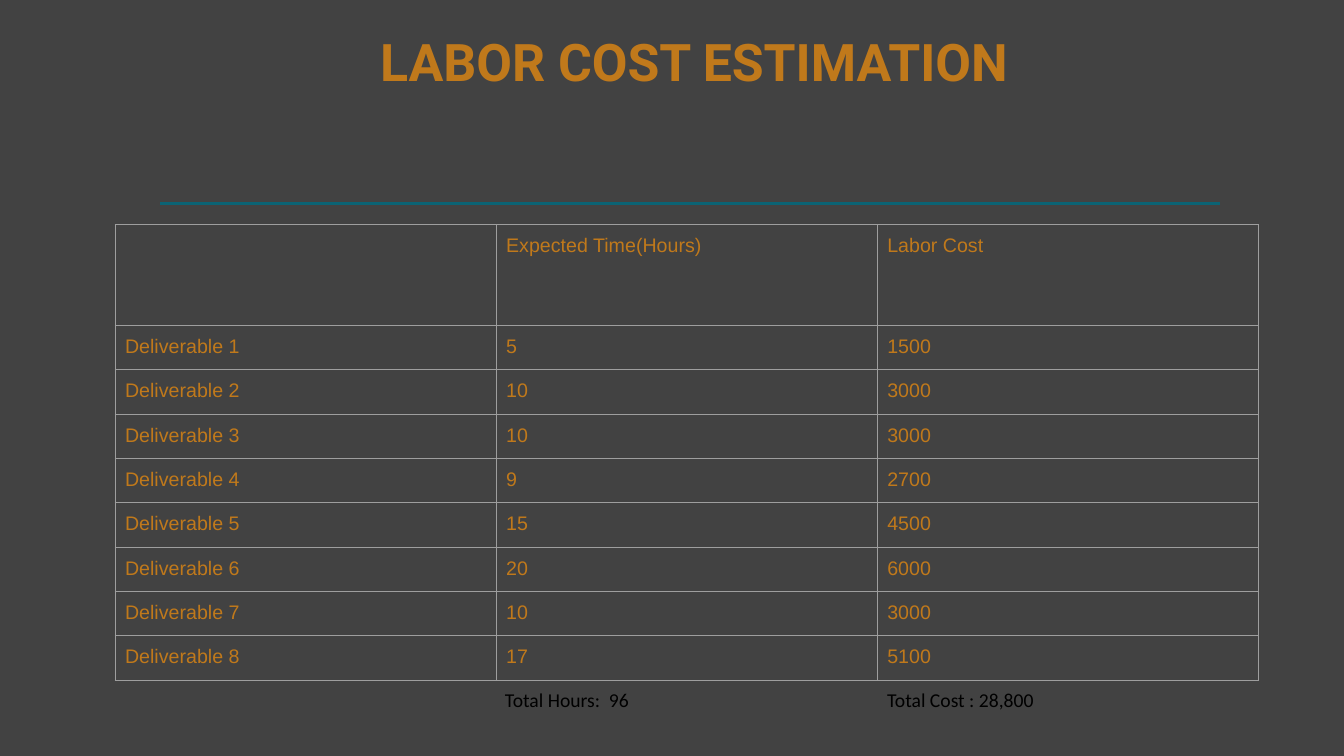
from lxml import etree
from pptx import Presentation
from pptx.dml.color import RGBColor
from pptx.enum.shapes import MSO_CONNECTOR
from pptx.enum.text import MSO_ANCHOR
from pptx.oxml.ns import qn
from pptx.util import Inches, Pt

STRAIGHT = MSO_CONNECTOR.STRAIGHT
TOP = MSO_ANCHOR.TOP

BACKGROUND = RGBColor(0x42, 0x42, 0x42)
ORANGE = RGBColor(0xC0, 0x79, 0x1B)
TEAL = RGBColor(0x0B, 0x63, 0x74)
GRID = RGBColor(0x9E, 0x9E, 0x9E)
BLACK = RGBColor(0, 0, 0)

HOURLY_RATE = 300
HOURS = [5, 10, 10, 9, 15, 20, 10, 17]


def set_text(tf, text, size=14, font="Arial", color=ORANGE, bold=False,
             spacing=1.0):
    tf.word_wrap = True
    p = tf.paragraphs[0]
    p.line_spacing = spacing
    r = p.add_run()
    r.text = text
    r.font.size = Pt(size)
    r.font.name = font
    r.font.color.rgb = color
    r.font.bold = bold


def set_borders(cell, color, width):
    tcPr = cell._tc.get_or_add_tcPr()
    for side in ("lnL", "lnR", "lnT", "lnB"):
        ln = etree.SubElement(tcPr, qn("a:" + side), w=str(width))
        fill = etree.SubElement(ln, qn("a:solidFill"))
        etree.SubElement(fill, qn("a:srgbClr"), val=str(color))


prs = Presentation()
prs.slide_width = Inches(13.33)
prs.slide_height = Inches(7.5)
s = prs.slides.add_slide(prs.slide_layouts[6])
s.background.fill.solid()
s.background.fill.fore_color.rgb = BACKGROUND

# Rule under the title
rule = s.shapes.add_connector(STRAIGHT, Inches(1.59), Inches(2.02),
                              Inches(12.1), Inches(2.02))
rule.line.color.rgb = TEAL
rule.line.width = Pt(2.5)
etree.SubElement(rule._element.spPr, qn("a:effectLst"))

# Title
title = s.shapes.add_textbox(Inches(1.67), Inches(0.32), Inches(10.5), Inches(1.15))
tf = title.text_frame
tf.margin_left = Inches(2.1)
tf.vertical_anchor = TOP
set_text(tf, "LABOR COST ESTIMATION", size=37, font="Roboto", bold=True,
         spacing=0.9)

# Cost table
rows = [("", "Expected Time(Hours)", "Labor Cost")]
for number, hours in enumerate(HOURS, 1):
    rows.append((f"Deliverable {number}", str(hours), str(hours * HOURLY_RATE)))

frame = s.shapes.add_table(len(rows), 3, Inches(1.14), Inches(2.23),
                           Inches(11.34), Inches(4.49))
table = frame.table
table.first_row = False
table.horz_banding = False
for column in table.columns:
    column.width = Inches(3.78)
for i, row in enumerate(rows):
    table.rows[i].height = Inches(0.44 if i else 1)
    for j, text in enumerate(row):
        cell = table.cell(i, j)
        cell.margin_left = cell.margin_right = Inches(0.1)
        cell.margin_top = cell.margin_bottom = Inches(0.1)
        set_borders(cell, GRID, Pt(0.75))
        cell.fill.background()
        if text:
            set_text(cell.text_frame, text)

# Totals under their columns
total = sum(HOURS)
for left, width, text in [
    (8.7, 3.72, f"Total Cost : {total * HOURLY_RATE:,}"),
    (4.91, 2.91, f"Total Hours:  {total}"),
]:
    sp = s.shapes.add_textbox(Inches(left), Inches(6.72), Inches(width), Inches(0.44))
    tf = sp.text_frame
    tf.margin_top = tf.margin_bottom = Inches(0.1)
    set_text(tf, text, font="Calibri", color=BLACK)

prs.save("out.pptx")
